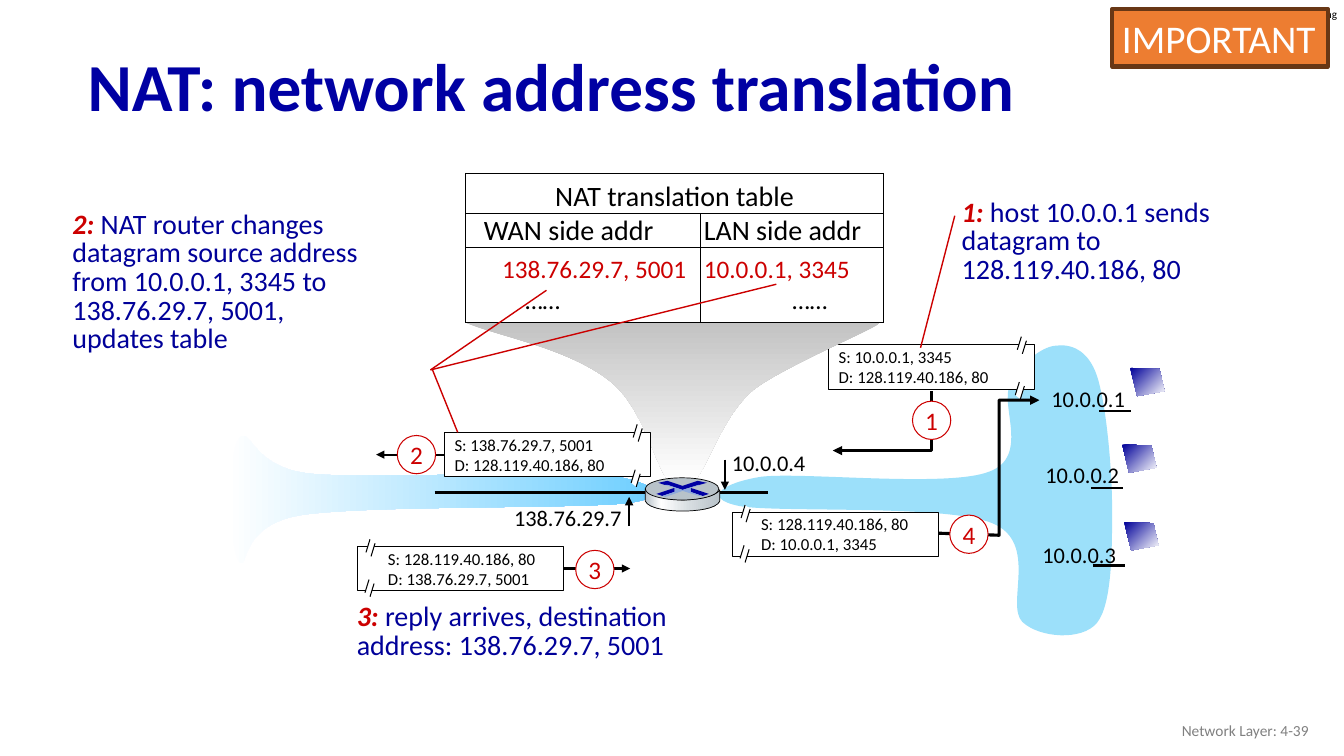
import pptx
import pptx.util
import pptx.dml.color
import pptx.enum.shapes
import pptx.enum.text
from lxml import etree
from pptx.oxml.ns import qn

RGB = pptx.dml.color.RGBColor
ALIGN = pptx.enum.text.PP_ALIGN
ANCHOR = pptx.enum.text.MSO_ANCHOR
KIND = pptx.enum.shapes.MSO_SHAPE
inch = pptx.util.Inches

BLACK, WHITE, GREY = RGB(0, 0, 0), RGB(255, 255, 255), RGB(128, 128, 128)
NAVY, BLUE, RED = RGB(0, 0, 0xA3), RGB(0, 0, 0x99), RGB(0xCC, 0, 0)
SKY, PALE = RGB(0x66, 0xCC, 0xFF), RGB(0x9C, 0xE0, 0xFA)
SILVER, STEEL, MIST = RGB(0xBF, 0xBF, 0xBF), RGB(0xB8, 0xC2, 0xC9), RGB(0xD6, 0xDC, 0xE0)
GLOW, ORANGE, BROWN = RGB(0x8F, 0xAA, 0xDC), RGB(0xED, 0x7D, 0x31), RGB(0x68, 0x37, 0x15)

# Outlines: a start point, then line ends (2 numbers) or Bezier curves (6 numbers)
WAN = [(5.98, 4.71), (5.45, 4.66, 3.68, 4.76, 3.08, 4.7), (2.48, 4.64, 2.49, 4.21, 2.37, 4.35),
       (2.25, 4.5, 2.27, 5.44, 2.37, 5.57), (2.47, 5.69, 2.35, 5.21, 2.99, 5.11),
       (3.63, 5.01, 5.73, 5.05, 6.23, 4.99), (6.73, 4.92, 6.41, 4.76, 5.98, 4.71)]
LAN = [(7.55, 4.73), (7.96, 4.68, 9.4, 4.84, 9.81, 4.68), (10.22, 4.53, 9.91, 4.02, 10.02, 3.81),
       (10.13, 3.6, 10.33, 3.44, 10.47, 3.43), (10.61, 3.41, 10.79, 3.46, 10.88, 3.73),
       (10.97, 4, 11.03, 4.64, 11.03, 5.05), (11.03, 5.46, 11.03, 5.99, 10.88, 6.18),
       (10.73, 6.36, 10.31, 6.33, 10.14, 6.17), (9.97, 6, 10.31, 5.38, 9.84, 5.19),
       (9.38, 5, 7.71, 5.09, 7.33, 5.02), (6.95, 4.94, 7.17, 4.79, 7.55, 4.73)]
FUNNEL = [(4.62, 3.2), (4.62, 3.2, 8.23, 3.09, 8.71, 3.2), (8.85, 3.19, 7.77, 3.63, 7.47, 3.87),
          (7.17, 4.12, 7.02, 4.63, 6.89, 4.77), (6.63, 4.77),
          (6.49, 4.6, 6.38, 4.04, 6.05, 3.78), (5.63, 3.45, 4.95, 3.34, 4.62, 3.2)]
RIM = [(7.14, 4.86), (7.14, 4.97), (7.11, 5.05, 6.9, 5.07, 6.77, 5.07),
       (6.65, 5.07, 6.43, 5.05, 6.4, 4.97), (6.4, 4.94, 6.4, 4.88, 6.4, 4.85),
       (6.44, 4.92, 6.65, 4.96, 6.77, 4.96), (6.89, 4.96, 7.1, 4.93, 7.14, 4.86)]
MARKS = [
    ([(6.92, 4.77), (7.01, 4.79), (6.94, 4.81), (6.93, 4.81), (6.77, 4.86), (6.62, 4.81),
      (6.59, 4.81), (6.53, 4.79), (6.62, 4.77), (6.77, 4.82)], NAVY),
    ([(6.85, 4.84), (7.03, 4.9), (6.97, 4.92), (6.85, 4.88)], NAVY),
    ([(6.69, 4.84), (6.69, 4.88), (6.57, 4.92), (6.51, 4.9)], NAVY),
    ([(6.59, 4.81), (6.62, 4.81), (6.77, 4.86), (6.93, 4.81), (6.95, 4.81), (6.85, 4.84),
      (6.85, 4.88), (6.96, 4.92), (6.93, 4.92), (6.77, 4.87), (6.6, 4.93), (6.57, 4.92),
      (6.69, 4.88), (6.69, 4.84)], GLOW)]
SLASH = [(0.04, 0), (0, 0.13), (0.05, 0.17), (0.09, 0.04)]
SCREEN = [(0, 0), (0.29, 0.01), (0.34, 0.23), (0.07, 0.28)]

# Number, box corner, text shift, slash corners, badge corner, lines, route, width
EAST, WEST = [(1.87, -0.08), (1.85, 0.37)], [(0.08, -0.07), (0.07, 0.33)]
PACKETS = [
    ("1", (8.22, 3.42), 0, EAST, (9.05, 3.98), ["S: 10.0.0.1, 3345", "D: 128.119.40.186, 80"],
     [(9.24, 3.88), (9.24, 4.47), (8.26, 4.47)], 2.25),
    ("4", (7.27, 5.08), 0.18, WEST, (9.42, 5.11), ["S: 128.119.40.186, 80", "D: 10.0.0.1, 3345"],
     [(9.31, 5.29), (9.91, 5.31), (9.91, 3.97), (10.31, 3.97)], 2.25),
    ("2", (4.41, 4.29), 0, EAST, (3.94, 4.32), ["S: 138.76.29.7, 5001", "D: 128.119.40.186, 80"],
     [(4.41, 4.51), (3.73, 4.51)], 1.5),
    ("3", (3.55, 5.42), 0.2, WEST, (5.71, 5.46), ["S: 128.119.40.186, 80", "D: 138.76.29.7, 5001"],
     [(5.59, 5.64), (6.25, 5.64)], 1.5)]
NOTES = [
    ((9.44, 1.93, 3.36, 0.96), "1: ", ["host 10.0.0.1 sends datagram to 128.119.40.186, 80"]),
    ((0.62, 2.05, 3.45, 1.53), "2: ", ["NAT router changes datagram source address from 10.0.0.1, "
                                       "3345 to 138.76.29.7, 5001,", "updates table"]),
    ((3.44, 5.94, 3.89, 0.68), "3: ", ["reply arrives, destination address: 138.76.29.7, 5001"])]
LEADS = [((9.47, 2.14), (9.13, 3.45)), ((4.29, 3.67), (4.54, 4.29)),
         ((4.27, 3.67), (5.42, 2.88)), ((4.27, 3.67), (7.7, 2.82))]
HOSTS = [("10.0.0.1", (10.33, 3.77), (11.21, 3.65)), ("10.0.0.2", (10.27, 4.53), (11.13, 4.41)),
         ("10.0.0.3", (10.24, 5.32), (11.15, 5.18))]
PORTS = [("10.0.0.4", (7.16, 4.41, 0.94, 0.37), (7.19, 4.56), (7.19, 4.86)),
         ("138.76.29.7", (5, 4.95, 1.28, 0.37), (6.24, 5.22), (6.24, 4.93))]
# Cells: (text, left indent, size, colour) per paragraph
TITLE = "NAT translation table"
ROWS = [[[("WAN side addr", 0.18, 20, BLACK)], [("LAN side addr", 0.03, 20, BLACK)]],
        [[("138.76.29.7, 5001", 0.36, 18, RED), ("……", 0.59, 18, BLACK)],
         [("10.0.0.1, 3345", 0.03, 18, RED), ("……", 0.91, 18, BLACK)]]]
COLS, HIGH = (2.33, 1.81), (0.4, 0.34, 0.74)

deck = pptx.Presentation()
deck.slide_width, deck.slide_height = inch(13.33), inch(7.5)
slide = deck.slides.add_slide(deck.slide_layouts[5])
shapes = slide.shapes


def style(para, size, color, bold=False):
    for run in para.runs:
        font = run.font
        font.name, font.size, font.bold = "Calibri", pptx.util.Pt(size), bold
        font.color.rgb = color


def write(frame, lines, size, color, align=ALIGN.LEFT, wrap=True, bold=False):
    frame.text = "\n".join(lines)
    frame.word_wrap = wrap
    for para in frame.paragraphs:
        para.alignment = align
        style(para, size, color, bold)


def label(box, lines, size, color=BLACK, **how):
    frame = shapes.add_textbox(*map(inch, box)).text_frame
    write(frame, lines, size, color, **how)
    return frame


def strip(part):
    part.margin_left = part.margin_right = part.margin_top = part.margin_bottom = 0


def paint(shape, fill=None, line=None, width=0.75, angle=0):
    """Fill with a colour, a list of (percent, colour) stops, or nothing."""
    shape.shadow.inherit = False
    if isinstance(fill, list):
        shape.fill.gradient()
        shape.fill.gradient_angle = angle
        stops = shape._element.spPr.find(".//" + qn("a:gsLst"))
        for old in list(stops):
            stops.remove(old)
        for share, color in fill:
            stop = etree.SubElement(stops, qn("a:gs"), pos=str(share * 1000))
            etree.SubElement(stop, qn("a:srgbClr"), val=str(color))
    elif fill is None:
        shape.fill.background()
    else:
        shape.fill.solid()
        shape.fill.fore_color.rgb = fill
    if line is None:
        shape.line.fill.background()
    else:
        shape.line.color.rgb, shape.line.width = line, pptx.util.Pt(width)
    return shape


def solid(kind, box, *look):
    return paint(shapes.add_shape(kind, *map(inch, box)), *look)


def trace(points, close=True):
    """Draw an outline; each run of three curve points becomes one Bezier step."""
    dots = [(inch(seg[i]), inch(seg[i + 1])) for seg in points for i in range(0, len(seg), 2)]
    build = shapes.build_freeform(*dots[0])
    build.add_line_segments(dots[1:], close=close)
    shape = build.convert_to_shape()
    steps = iter(list(shape._element.iter(qn("a:lnTo"))))
    for seg in points[1:]:
        step = next(steps)
        if len(seg) == 6:
            step.addprevious(curve := etree.Element(qn("a:cubicBezTo")))
            for old in (step, next(steps), next(steps)):
                curve.append(old[0])
                old.getparent().remove(old)
    return shape


def shift(points, corner):
    return [(x + corner[0], y + corner[1]) for x, y in points]


def point(shape):
    etree.SubElement(shape.line._get_or_add_ln(), qn("a:tailEnd"), type="triangle")


def stroke(start, end, width=0.75, color=BLACK):
    line = shapes.add_connector(pptx.enum.shapes.MSO_CONNECTOR.STRAIGHT,
                                *map(inch, (*start, *end)))
    line.line.color.rgb, line.line.width = color, pptx.util.Pt(width)
    etree.SubElement(line._element.spPr, qn("a:effectLst"))
    return line


def packet(num, corner, dx, cuts, badge, lines, route, width):
    x, y = corner
    box = solid(KIND.RECTANGLE, (x, y, 2.04, 0.44), WHITE, BLACK)
    label((x + dx, y - 0.03, 1.93, 0.5), lines, 12)
    for spot in shift(cuts, corner):
        a, b, c, d = shift(SLASH, spot)
        paint(trace([a, b, c, d]), WHITE)
        stroke(a, b)
        stroke(d, c)
    if len(route) == 2:
        arrow = stroke(*route, width)
        arrow.begin_connect(box, 1 if route[1][0] < x else 3)
    else:
        arrow = paint(trace(route, False), None, BLACK, width)
    point(arrow)
    frame = solid(KIND.OVAL, (*badge, 0.38, 0.38), WHITE, RED).text_frame
    strip(frame)
    frame.vertical_anchor = ANCHOR.MIDDLE
    write(frame, [num], 18, RED, ALIGN.CENTER, False)


def grid():
    table = shapes.add_table(3, 2, *map(inch, (4.62, 1.72, sum(COLS), sum(HIGH)))).table
    table.first_row = table.horz_banding = False
    for col, wide in zip(table.columns, COLS):
        col.width = inch(wide)
    for row, high in zip(table.rows, HIGH):
        row.height = inch(high)
    for cell in table.iter_cells():
        cell.fill.solid()
        cell.fill.fore_color.rgb = WHITE
        strip(cell)
        cell.vertical_anchor = ANCHOR.MIDDLE
        for spot, side in enumerate(("lnL", "lnR", "lnT", "lnB")):
            edge = etree.Element(qn("a:" + side), w="9525")
            tint = etree.SubElement(edge, qn("a:solidFill"))
            etree.SubElement(tint, qn("a:srgbClr"), val=str(BLACK))
            cell._tc.get_or_add_tcPr().insert(spot, edge)
    head = table.cell(0, 0)
    head.merge(table.cell(0, 1))
    head.margin_top = inch(0.06)
    write(head.text_frame, [TITLE], 20, BLACK, ALIGN.CENTER)
    for r, row in enumerate(ROWS, 1):
        for c, items in enumerate(row):
            frame = table.cell(r, c).text_frame
            frame.text = "\n".join(item[0] for item in items)
            for para, (_, left, size, color) in zip(frame.paragraphs, items):
                para._p.get_or_add_pPr().set("marL", str(inch(left)))
                style(para, size, color)


def note(box, num, lines):
    frame = label(box, [num] + lines[1:], 20, BLUE)
    first = frame.paragraphs[0]
    first.add_run().text = lines[0]
    for para in frame.paragraphs:
        para.line_spacing = 0.85
        style(para, 20, BLUE)
    mark = first.runs[0].font
    mark.bold = mark.italic = True
    mark.color.rgb = RED


strip(label((12.43, 0.07, 0.86, 0.13), ["Begränsad delning"], 8, wrap=False))
head = shapes.title
head.left, head.top, head.width, head.height = map(inch, (0.77, 0.31, 11.5, 1.17))
write(head.text_frame, ["NAT: network address translation"], 48, NAVY, bold=True)
head.text_frame.vertical_anchor = ANCHOR.MIDDLE
head.text_frame.paragraphs[0].line_spacing = 0.9

paint(trace(WAN), [(0, WHITE), (100, SKY)])
paint(trace(LAN), PALE)
packet(*PACKETS[0])
paint(trace(FUNNEL), [(0, SILVER), (100, WHITE)], angle=270)
grid()
for item in PACKETS[1:]:
    packet(*item)
for item in NOTES:
    note(*item)
for start, end in LEADS:
    stroke(start, end, 1, RED)
for name, spot, corner in HOSTS:
    label((*spot, 0.94, 0.37), [name], 16, wrap=False)
    paint(trace(shift(SCREEN, corner)), [(0, BLUE), (100, WHITE)], angle=315)
    stroke(*shift([(-0.31, 0.43), (0.01, 0.43)], corner), 1.5)

stroke((4.31, 4.89), (7.62, 4.89), 2)
paint(trace(RIM), [(0, STEEL), (21, WHITE), (60, MIST), (100, STEEL)], BLACK, 0.5)
solid(KIND.OVAL, (6.4, 4.74, 0.73, 0.22), STEEL, BLACK, 0.5)
for points, color in MARKS:
    paint(trace(points), color)
for name, box, start, end in PORTS:
    label(box, [name], 16, wrap=False)
    point(stroke(start, end, 1.5))

foot = label((10.08, 7.05, 3, 0.4), ["Network Layer: 4-39"], 11, GREY, align=ALIGN.RIGHT)
foot.vertical_anchor = ANCHOR.MIDDLE
flag = solid(KIND.RECTANGLE, (11.03, 0.09, 2.14, 0.57), ORANGE, BROWN, 3)
write(flag.text_frame, ["IMPORTANT"], 28, WHITE, wrap=False)
deck.save("out.pptx")
